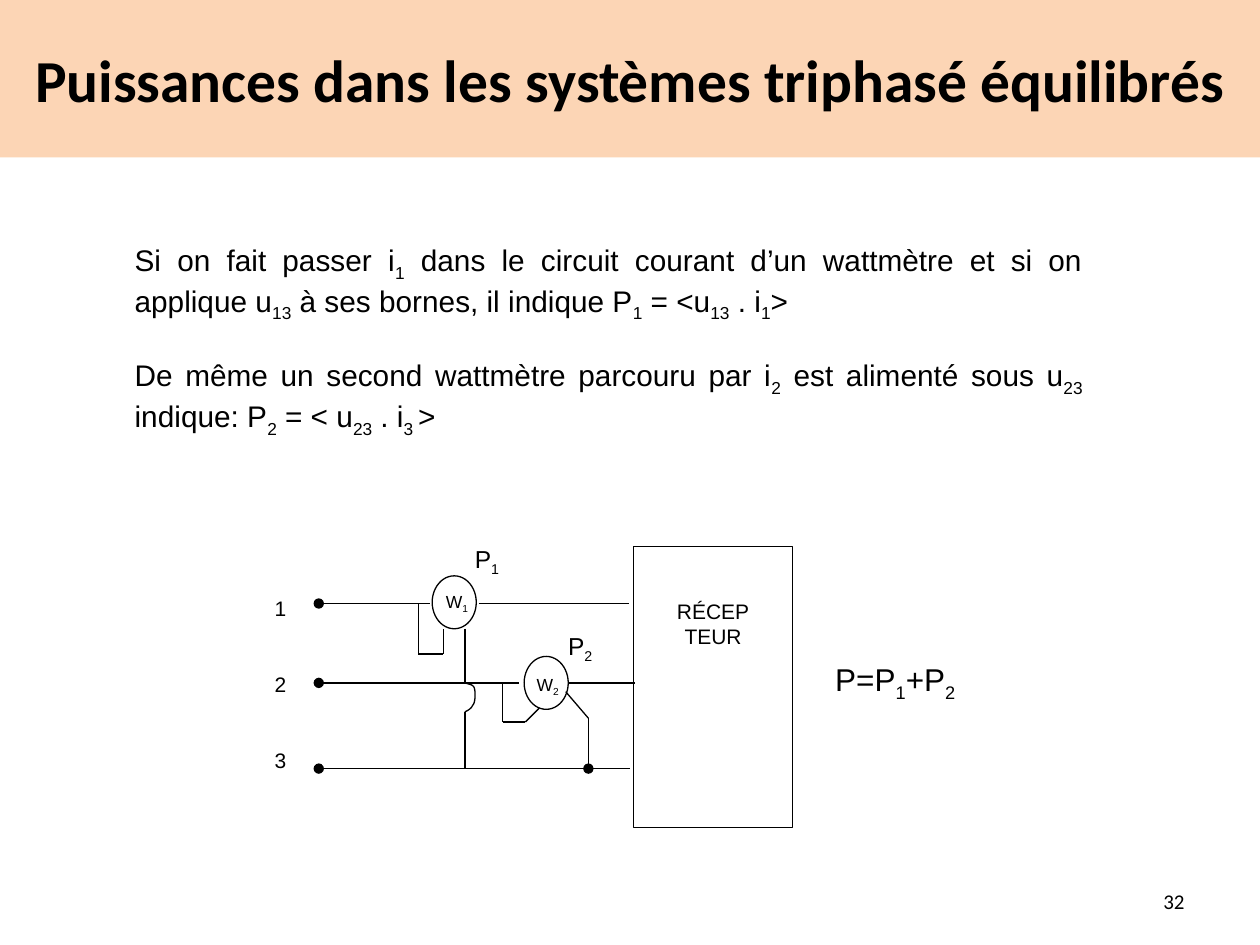
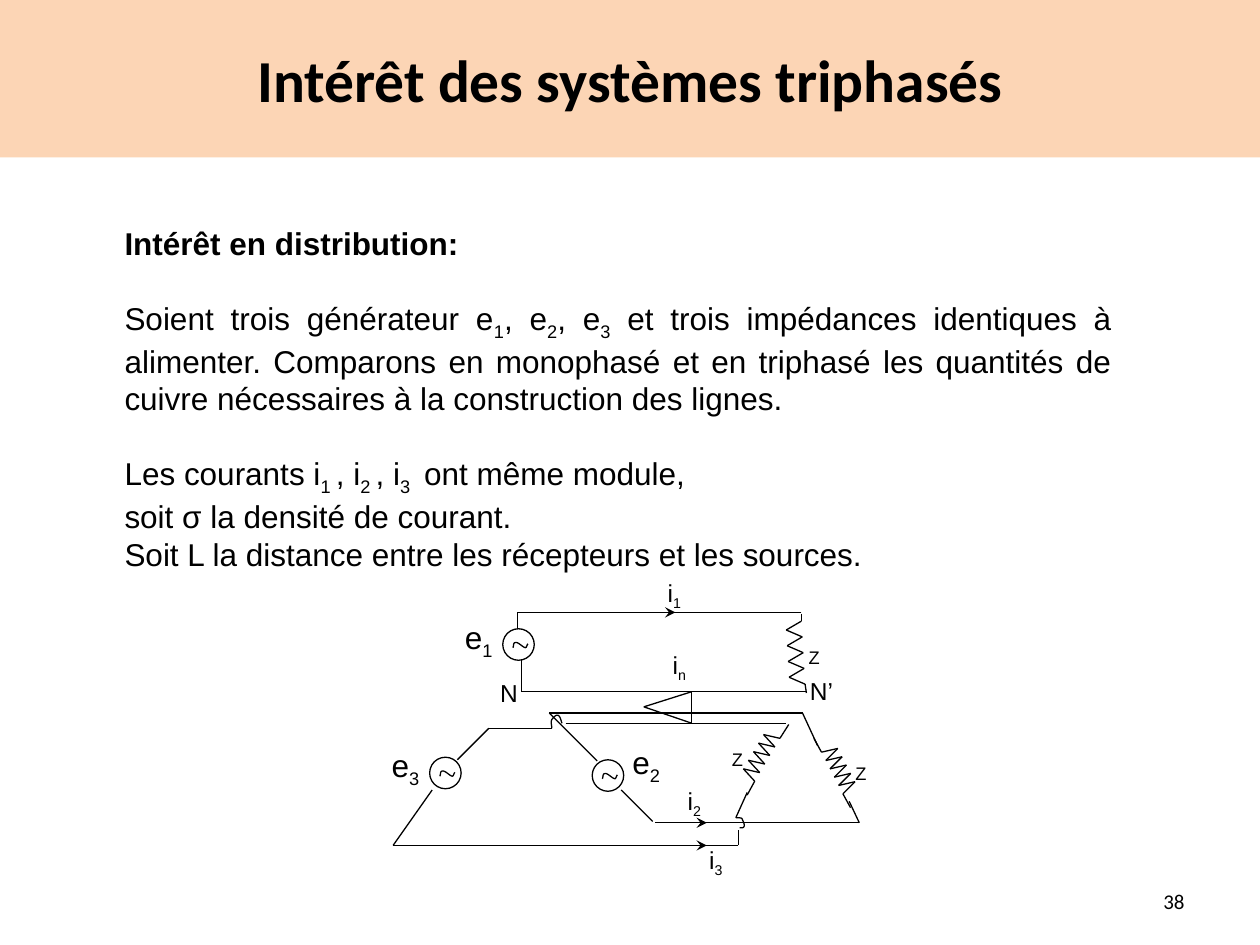
import pptx
import pptx.dml.color
import pptx.enum.shapes
import pptx.enum.text
import pptx.oxml
import pptx.oxml.ns
import pptx.util

Inches = pptx.util.Inches
Pt = pptx.util.Pt
ALIGN = pptx.enum.text.PP_ALIGN
ANCHOR = pptx.enum.text.MSO_ANCHOR
SHAPE = pptx.enum.shapes.MSO_SHAPE
BLACK = pptx.dml.color.RGBColor(0, 0, 0)
WHITE = pptx.dml.color.RGBColor(255, 255, 255)
PEACH = pptx.dml.color.RGBColor(0xFC, 0xD5, 0xB5)
TITLE_FONT, BODY_FONT = "Calibri", "Arial"
LINE_WIDTH = Pt(0.75)


class Lesson:
    """Style of the lesson and the page being drawn; {x} in a text marks a subscript."""

    def __init__(self):
        self.deck = pptx.Presentation()
        self.deck.slide_width, self.deck.slide_height = Inches(10), Inches(7.5)
        self.page = None

    def start_page(self, title, number):
        self.page = self.deck.slides.add_slide(self.deck.slide_layouts[6])
        band = self.shape(SHAPE.RECTANGLE, 0, 0, 10, 1.25, PEACH, outlined=False)
        self.set_lines(band, [title], 34, TITLE_FONT, ALIGN.CENTER, ANCHOR.MIDDLE, bold=True)
        self.text(7.17, 6.95, 2.33, 0.4, [number], 12, TITLE_FONT, ALIGN.RIGHT, ANCHOR.MIDDLE)

    def set_lines(self, box, lines, size, font=BODY_FONT, align=ALIGN.LEFT, anchor=ANCHOR.TOP,
                  bold=False, gaps=None, insets=(0.1, 0.05)):
        frame = box.text_frame
        frame.word_wrap = True
        frame.vertical_anchor = anchor
        frame.margin_left = frame.margin_right = Inches(insets[0])
        frame.margin_top = frame.margin_bottom = Inches(insets[1])
        for index, line in enumerate(lines):
            para = frame.paragraphs[0] if index == 0 else frame.add_paragraph()
            para.alignment = align
            para.space_before = Pt((gaps or {}).get(index, 0))
            for part, words in enumerate(line.replace("}", "{").split("{")):
                if not words:
                    continue
                span = para.add_run()
                span.text = words
                span.font.name, span.font.size, span.font.bold = font, Pt(size), bold
                span.font.color.rgb = BLACK
                if part % 2:
                    span.font._element.set("baseline", "-25000")
        return frame

    def text(self, left, top, width, height, lines, size, *args, **options):
        box = self.page.shapes.add_textbox(*map(Inches, (left, top, width, height)))
        return self.set_lines(box, lines, size, *args, **options)

    def label(self, left, top, words, size=14):
        self.text(left, top, 0.75, 0.4, [words], size)

    def shape(self, kind, left, top, width, height, fill=WHITE, outlined=True):
        shape = self.page.shapes.add_shape(kind, *map(Inches, (left, top, width, height)))
        shape.shadow.inherit = False
        shape.fill.solid()
        shape.fill.fore_color.rgb = fill
        self.outline(shape, outlined)
        return shape

    def outline(self, shape, outlined=True):
        if outlined:
            shape.line.color.rgb = BLACK
            shape.line.width = LINE_WIDTH
        else:
            shape.line.fill.background()

    def wire(self, *points, head=None, tail=None):
        for start, end in zip(points, points[1:]):
            line = self.page.shapes.add_connector(
                pptx.enum.shapes.MSO_CONNECTOR.STRAIGHT, *map(Inches, start + end))
            self.outline(line)
            if head and start == points[0]:
                self.arrow(line, "a:headEnd", head)
            if tail and end == points[-1]:
                self.arrow(line, "a:tailEnd", tail)
            line._element.spPr.append(pptx.oxml.parse_xml(
                f"<a:effectLst {pptx.oxml.ns.nsdecls('a')}/>"))

    def arrow(self, line, tag, kind):
        line.line._get_or_add_ln().append(pptx.oxml.parse_xml(
            f'<{tag} {pptx.oxml.ns.nsdecls("a")} type="{kind}"/>'))

    def curve(self, start, *segments, steps=8):
        points = []
        origin = start
        for first, second, end in segments:
            for step in range(1, steps + 1):
                t = step / steps
                weights = ((1 - t) ** 3, 3 * t * (1 - t) ** 2, 3 * t * t * (1 - t), t ** 3)
                anchors = (origin, first, second, end)
                points.append(tuple(
                    Inches(sum(weight * anchor[axis] for weight, anchor in zip(weights, anchors)))
                    for axis in (0, 1)))
            origin = end
        builder = self.page.shapes.build_freeform(Inches(start[0]), Inches(start[1]))
        builder.add_line_segments(points, close=False)
        shape = builder.convert_to_shape()
        shape.shadow.inherit = False
        shape.fill.background()
        self.outline(shape)

    def generator(self, left, top):
        def place(x, y):
            return left + x, top + y
        self.shape(SHAPE.OVAL, left, top, 0.25, 0.25)
        self.curve(place(0.08, 0.15),
                   (place(0.09, 0.14), place(0.08, 0.11), place(0.1, 0.11)),
                   (place(0.12, 0.1), place(0.16, 0.15), place(0.18, 0.15)),
                   (place(0.19, 0.15), place(0.19, 0.13), place(0.2, 0.12)))

    def resistor(self, lead_in, start, end, lead_out, swing, teeth):
        points = [lead_in, start]
        for tooth in range(teeth):
            x, y = (a + (b - a) * tooth / teeth for a, b in zip(start, end))
            following = tuple(a + (b - a) * (tooth + 1) / teeth for a, b in zip(start, end))
            points += [(x + swing[0], y + swing[1]), following]
        self.wire(*points, lead_out)


def draw_wattmeters(lesson):
    lesson.start_page("Puissances dans les systèmes triphasé équilibrés", "32")
    lesson.text(0.97, 1.87, 7.72, 2.12, [
        "Si on fait passer i{1} dans le circuit courant d’un wattmètre et si on applique "
        "u{13} à ses bornes, il indique P{1} = <u{13} . i{1}>",
        "De même un second wattmètre parcouru par i{2} est alimenté sous u{23} "
        "indique: P{2} = < u{23} . i{3 }>"], 17, align=ALIGN.JUSTIFY, gaps={1: 19.5})

    phases = lesson.shape(SHAPE.RECTANGLE, 2.18, 4.68, 0.18, 1.89, outlined=False)
    lesson.set_lines(phases, ["1", "2", "3"], 12, gaps={1: 29, 2: 29}, insets=(0, 0.05))
    receiver = lesson.shape(SHAPE.RECTANGLE, 5.03, 4.34, 1.26, 2.23)
    lesson.set_lines(receiver, ["RÉCEP", "TEUR"], 12, align=ALIGN.CENTER, insets=(0.06, 0.41))

    for y, end in ((4.79, 3.41), (5.42, 4.12), (6.1, 5)):
        lesson.wire((2.53, y), (end, y), head="oval")
    lesson.wire((3.8, 4.79), (4.99, 4.79))
    lesson.wire((4.51, 5.42), (5.04, 5.42))
    for left, top in ((3.43, 4.57), (4.16, 5.21)):
        lesson.shape(SHAPE.OVAL, left, top, 0.35, 0.42)

    lesson.wire((3.32, 4.79), (3.32, 5.19), (3.52, 5.19), (3.52, 4.99))
    lesson.wire((3.69, 4.99), (3.69, 5.42))
    lesson.curve((3.69, 5.42),
                 ((3.75, 5.44), (3.77, 5.43), (3.77, 5.51)),
                 ((3.77, 5.54), (3.77, 5.58), (3.75, 5.6)),
                 ((3.74, 5.63), (3.69, 5.65), (3.69, 5.65)))
    lesson.wire((3.69, 5.65), (3.69, 6.1))
    lesson.wire((3.99, 5.42), (3.99, 5.73), (4.17, 5.73), (4.28, 5.62))
    lesson.wire((4.49, 5.49), (4.67, 5.7), (4.67, 6.1), tail="oval")

    lesson.label(3.44, 4.64, "W{1}", 10)
    lesson.label(4.16, 5.3, "W{2}", 10)
    lesson.label(3.67, 4.27, "P{1}")
    lesson.label(4.41, 4.96, "P{2}")
    lesson.text(6.53, 5.19, 1.68, 0.4, ["P=P{1}+P{2}"], 18)


def draw_distribution(lesson):
    lesson.start_page("Intérêt des systèmes triphasés", "38")
    body = lesson.text(0.89, 1.73, 8.03, 2.95, [
        "Intérêt en distribution:",
        "Soient trois générateur e{1}, e{2}, e{3} et trois impédances identiques à alimenter. "
        "Comparons en monophasé et en triphasé les quantités de cuivre nécessaires à la "
        "construction des lignes.",
        "Les courants i{1 }, i{2 }, i{3 } ont même module,",
        "soit σ la densité de courant.",
        "Soit L la distance entre les récepteurs et les sources."], 18, gaps={1: 21, 2: 21})
    body.paragraphs[0].runs[0].font.bold = True
    body.paragraphs[1].alignment = ALIGN.JUSTIFY

    lesson.wire((6.36, 4.86), (4.11, 4.86), (4.11, 4.99))
    lesson.wire((6.4, 5.49), (4.14, 5.49), (4.14, 5.23))
    lesson.wire((4.49, 5.74), (6.24, 5.74))
    lesson.wire((6.49, 5.92), (6.37, 5.66), (4.36, 5.66), (4.74, 6.04))
    lesson.wire((4.93, 6.27), (5.18, 6.52))
    lesson.wire((5.2, 6.53), (6.82, 6.53), (6.74, 6.36))
    lesson.curve((4.46, 5.74),
                 ((4.45, 5.71), (4.44, 5.63), (4.38, 5.71)),
                 ((4.37, 5.73), (4.38, 5.76), (4.38, 5.78)))
    lesson.wire((4.38, 5.78), (3.88, 5.78), (3.63, 6.03))
    lesson.wire((5.93, 6.29), (5.84, 6.49))
    lesson.curve((5.84, 6.49),
                 ((5.86, 6.49), (5.89, 6.49), (5.89, 6.5)),
                 ((5.93, 6.58), (5.89, 6.57), (5.87, 6.57)))
    lesson.wire((5.86, 6.59), (5.86, 6.71), (3.12, 6.71), (3.43, 6.27))
    lesson.wire((5.49, 5.74), (5.49, 5.49), (5.11, 5.61), (5.49, 5.74))
    for start, end, y in ((4.86, 5.36, 4.86), (5.24, 5.61, 6.53), (5.11, 5.61, 6.71)):
        lesson.wire((start, y), (end, y), tail="stealth")

    for left, top in ((3.99, 4.99), (3.41, 6.01), (4.7, 6.03)):
        lesson.generator(left, top)
    lesson.resistor((6.36, 4.87), (6.36, 4.93), (6.39, 5.43), (6.4, 5.5), (-0.12, 0.07), 4)
    lesson.resistor((6.26, 5.75), (6.19, 5.86), (5.99, 6.2), (5.93, 6.31), (-0.13, -0.03), 5)
    lesson.resistor((6.46, 5.86), (6.52, 5.97), (6.69, 6.3), (6.75, 6.41), (0.13, -0.03), 5)

    for left, top, words in ((5.2, 4.54, "i{1}"), (5.36, 6.19, "i{2}"), (5.53, 6.66, "i{3}"),
                             (5.24, 5.11, "i{n}"), (3.87, 5.33, "N"), (6.33, 5.32, "N’")):
        lesson.label(left, top, words)
    for left, top, words in ((3.59, 4.86, "e{1}"), (4.92, 5.85, "e{2}"), (3.01, 5.87, "e{3}"),
                             (6.32, 4.91, "{Z}"), (6.69, 5.83, "{Z}"), (5.71, 5.72, "{Z}")):
        lesson.label(left, top, words, 18)


def main():
    lesson = Lesson()
    draw_wattmeters(lesson)
    draw_distribution(lesson)
    lesson.deck.save("out.pptx")


if __name__ == "__main__":
    main()
